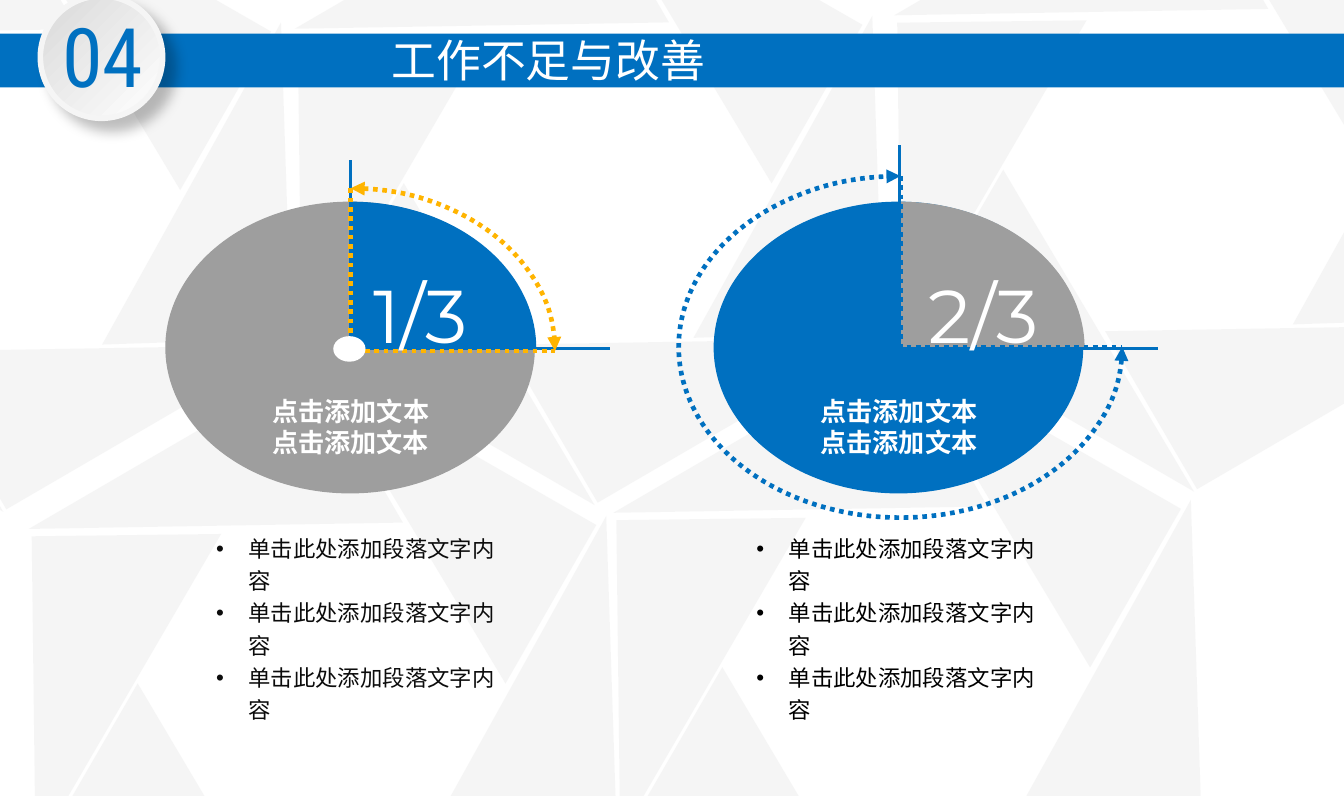
from lxml import etree
from pptx import Presentation
from pptx.dml.color import RGBColor
from pptx.enum.dml import MSO_LINE
from pptx.enum.shapes import MSO_CONNECTOR, MSO_SHAPE
from pptx.enum.text import MSO_ANCHOR, PP_ALIGN
from pptx.oxml.ns import qn
from pptx.util import Emu, Pt

SCALE = 9144
BLUE = RGBColor(0x00, 0x70, 0xC0)
GRAY = RGBColor(0x9E, 0x9E, 0x9E)
AMBER = RGBColor(0xFF, 0xB4, 0x00)
WHITE = RGBColor(0xFF, 0xFF, 0xFF)
BLACK = RGBColor(0x00, 0x00, 0x00)
NEAR_BLACK = RGBColor(0x0C, 0x0C, 0x0C)
FACET = RGBColor(0xBF, 0xBF, 0xBF)
BADGE_GRAY = RGBColor(0xD9, 0xD9, 0xD9)
BADGE_RIM = RGBColor(0xF5, 0xF5, 0xF5)

CJK_FONT = "Noto Sans CJK SC"
DEGREE = 0.6
BULLET_INDENT = 24
BULLET_TEXT = "单击此处添加段落文字内容"
CAPTION = "点击添加文本点击添加文本"

FACETS = [
    (0, 0, 243, 136, 149.8),
    (-61, 122, 235, 141, 89.3),
    (13, 237, 243, 136, 30.1),
    (157, 235, 243, 136, 329.8),
    (228, 110, 235, 141, 268.1),
    (144, -2, 243, 136, 209.8),
]
HEXAGONS = [(39, 323), (474, 311), (237, -49), (683, -59)]
EDGE_HEXAGON = (-203, -44)


def px(value):
    return Emu(value * SCALE)


def add_element(parent, tag, **attributes):
    element = etree.SubElement(parent, qn(tag))
    for name, value in attributes.items():
        element.set(name, str(value))
    return element


def add_filled(slide, kind, box, color=None):
    shape = slide.shapes.add_shape(kind, *map(px, box))
    shape.shadow.inherit = False
    shape.line.fill.background()
    if color is None:
        shape.fill.background()
    else:
        shape.fill.solid()
        shape.fill.fore_color.rgb = color
    return shape


def add_hexagon(slide, origin, facets):
    for left, top, width, height, angle in facets:
        box = (origin[0] + left, origin[1] + top, width, height)
        facet = add_filled(slide, MSO_SHAPE.RIGHT_TRIANGLE, box, FACET)
        facet.rotation = angle
        color = facet.fill._xPr.find(".//" + qn("a:srgbClr"))
        add_element(color, "a:alpha", val=14000)


def add_line(slide, start, end):
    connector = slide.shapes.add_connector(
        MSO_CONNECTOR.STRAIGHT, *map(px, start + end))
    connector.line.color.rgb = BLUE
    connector.line.width = Pt(1.5)
    add_element(connector._element.spPr, "a:effectLst")


def style_dotted(shape, color):
    shape.line.color.rgb = color
    shape.line.width = Pt(2.5)
    shape.line.dash_style = MSO_LINE.ROUND_DOT


def add_dotted_sector(slide, center, radii, angles, color):
    (x, y), (radius_x, radius_y) = center, radii
    box = (x - radius_x, y - radius_y, 2 * radius_x, 2 * radius_y)
    arc = add_filled(slide, MSO_SHAPE.ARC, box)
    for index, angle in enumerate(angles):
        arc.adjustments[index] = angle * DEGREE
    style_dotted(arc, color)
    for tag in ("a:headEnd", "a:tailEnd"):
        add_element(arc.line._ln, tag, type="triangle")

    builder = slide.shapes.build_freeform(x, y - radius_y, scale=SCALE)
    builder.add_line_segments([(x, y), (x + radius_x, y)], close=False)
    corner = builder.convert_to_shape()
    corner.shadow.inherit = False
    corner.fill.background()
    style_dotted(corner, color)


def add_text(slide, box, lines, font, size, color, bold=False,
             align=PP_ALIGN.LEFT, anchor=MSO_ANCHOR.TOP, wrap=True):
    text_box = slide.shapes.add_textbox(*map(px, box))
    text_frame = text_box.text_frame
    text_frame.word_wrap = wrap
    text_frame.vertical_anchor = anchor
    text_frame.text = "\n".join(lines)
    for paragraph in text_frame.paragraphs:
        paragraph.alignment = align
        for run in paragraph.runs:
            run.font.name = font
            run.font.size = Pt(size)
            run.font.bold = bold
            run.font.color.rgb = color
            add_element(run.font._element, "a:ea", typeface=font)
    return text_frame


def add_bullets(slide, box, color):
    text_frame = add_text(slide, box, [BULLET_TEXT] * 3, "Arial", 12, color)
    for paragraph in text_frame.paragraphs:
        paragraph.line_spacing = 1.2
        properties = paragraph._p.get_or_add_pPr()
        properties.set("marL", str(px(BULLET_INDENT)))
        properties.set("indent", str(px(-BULLET_INDENT)))
        add_element(properties, "a:buFont", typeface="Arial")
        add_element(properties, "a:buChar", char="•")


def add_dial(slide, left, base_color, wedge_color, axis_top):
    center_x = left + 138
    add_filled(slide, MSO_SHAPE.OVAL, (left, 150, 275, 217), base_color)
    wedge = add_filled(
        slide, MSO_SHAPE.PIE, (left + 1, 150, 275, 218), wedge_color)
    wedge.adjustments[0] = 270 * DEGREE
    wedge.adjustments[1] = 0
    add_line(slide, (center_x, 259), (center_x, axis_top))
    add_line(slide, (center_x, 259), (center_x + 193, 259))


def add_dial_text(slide, left, fraction_left, fraction):
    add_text(slide, (fraction_left, 195, 110, 77), [fraction],
             "Montserrat", 40, WHITE, wrap=False)
    add_text(slide, (left + 60, 289, 156, 57), [CAPTION], CJK_FONT, 14,
             WHITE, bold=True, align=PP_ALIGN.CENTER)


def add_badge(slide):
    badge = add_filled(slide, MSO_SHAPE.OVAL, (30, -3, 91, 91), BADGE_GRAY)
    badge.fill.gradient()
    badge.fill.gradient_angle = 315
    for stop, color in zip(badge.fill.gradient_stops, (BADGE_GRAY, WHITE)):
        stop.color.rgb = color
    badge.line.color.rgb = BADGE_RIM
    badge.line.width = Pt(3)
    effects = badge._element.spPr.find(qn("a:effectLst"))
    shadow = add_element(effects, "a:outerShdw", blurRad=Pt(7), dist=Pt(8),
                         dir=45 * 60000, algn="tl", rotWithShape=0)
    color = add_element(shadow, "a:srgbClr", val=str(BLACK))
    add_element(color, "a:alpha", val=25000)
    add_text(slide, (35, -1, 83, 84), ["04"], "Roboto Condensed", 44, BLUE,
             align=PP_ALIGN.CENTER)


def main():
    presentation = Presentation()
    presentation.slide_width = px(1000)
    presentation.slide_height = px(592)
    slide = presentation.slides.add_slide(presentation.slide_layouts[6])

    for origin in HEXAGONS:
        add_hexagon(slide, origin, FACETS)
    add_hexagon(slide, EDGE_HEXAGON, FACETS[:1] + FACETS[2:])

    add_dial(slide, 123, GRAY, BLUE, 119)
    add_dotted_sector(slide, (261, 261), (152, 121), (270, 0), AMBER)
    add_filled(slide, MSO_SHAPE.OVAL, (248, 250, 24, 19), WHITE)
    add_dial_text(slide, 123, 268, "1/3")

    add_dial(slide, 531, BLUE, GRAY, 108)
    add_dotted_sector(slide, (670, 258), (165, 127), (0, 270), BLUE)
    add_dial_text(slide, 531, 681, "2/3")

    add_bullets(slide, (151, 389, 231, 83), NEAR_BLACK)
    add_bullets(slide, (553, 389, 231, 83), BLACK)

    add_filled(slide, MSO_SHAPE.RECTANGLE, (0, 25, 1000, 40), BLUE)
    add_badge(slide)
    add_text(slide, (213, 16, 390, 56), ["工作不足与改善"], CJK_FONT, 24,
             WHITE, align=PP_ALIGN.CENTER, anchor=MSO_ANCHOR.MIDDLE)

    presentation.save("out.pptx")


if __name__ == "__main__":
    main()
